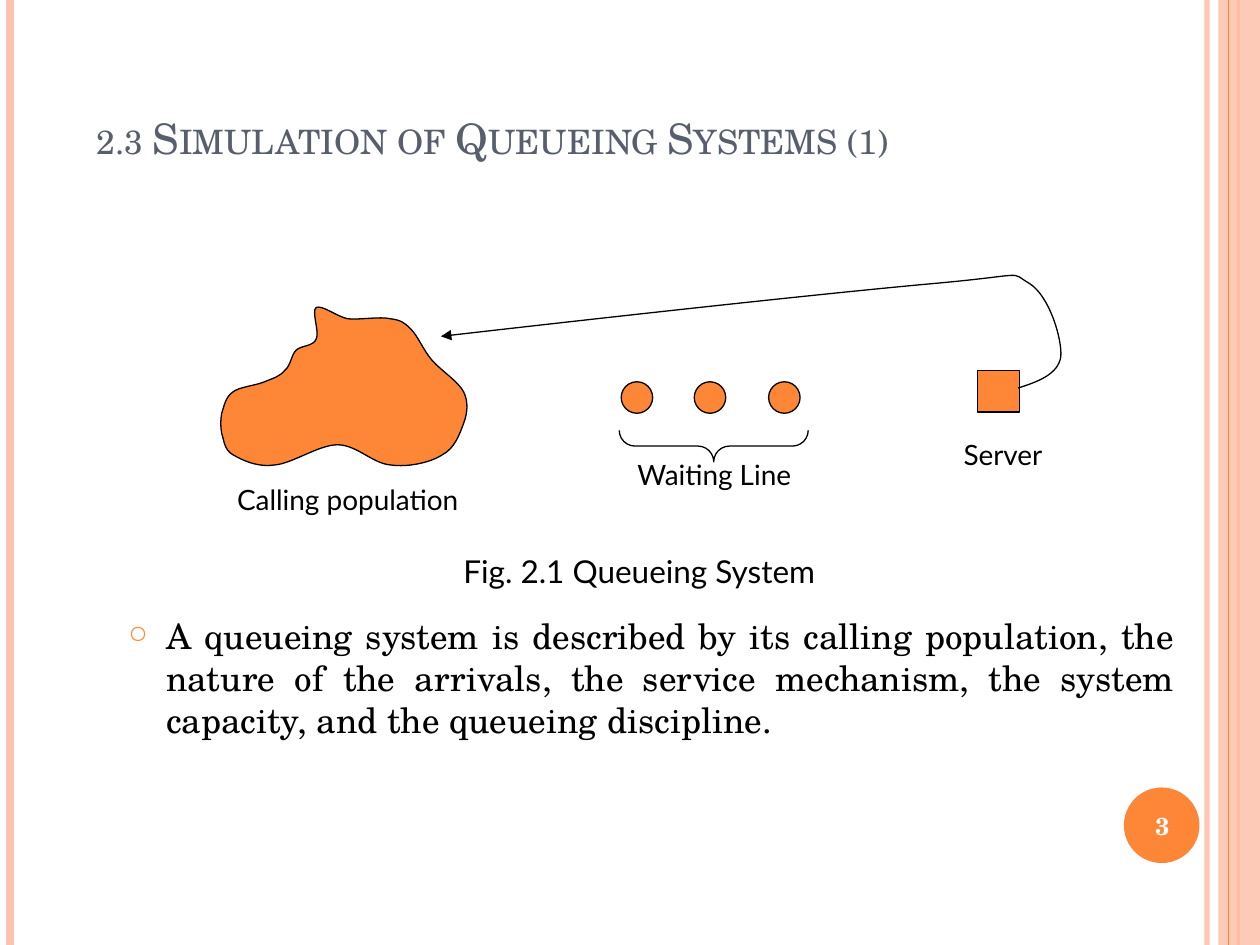
from dataclasses import dataclass
from typing import Optional

from lxml import etree
from pptx import Presentation, util as u
from pptx.dml.color import RGBColor
from pptx.enum import shapes, text
from pptx.oxml import ns

PX = 9144
ORANGE, PEACH, BLACK, WHITE = "FE8637", "FEC3AE", "000000", "FFFFFF"
SERIF, SANS = "TeX Gyre Schola", "Lato"
SHAPE, ALIGN, ANCHOR = shapes.MSO_SHAPE, text.PP_ALIGN, text.MSO_ANCHOR


@dataclass
class Box:
    left: int
    top: int
    width: int
    height: int

    def emu(self) -> list:
        return [n * PX for n in (self.left, self.top, self.width, self.height)]


@dataclass
class Stripe:
    x: int
    weight: float
    color: str
    opacity: int = 100


@dataclass
class Label:
    words: str
    box: Box
    size: int = 16
    align: ALIGN = ALIGN.CENTER


@dataclass
class Curve:
    start: tuple
    segments: list
    fill: Optional[str] = None
    closed: bool = False
    arrow: bool = False


def add_node(parent, tag: str, **attributes):
    node = etree.SubElement(parent, ns.qn(tag))
    for name, value in attributes.items():
        node.set(name, str(value))
    return node


def paint(target, color: str, opacity: int = 100) -> None:
    target.solid()
    target.fore_color.rgb = RGBColor.from_string(color)
    if opacity < 100:
        add_node(target._xPr.find(ns.qn("a:solidFill"))[0], "a:alpha", val=opacity * 1000)


def style(shape, fill: Optional[str], line: Optional[str] = BLACK, opacity: int = 100) -> None:
    shape.shadow.inherit = False
    if fill:
        paint(shape.fill, fill, opacity)
    else:
        shape.fill.background()
    if line:
        paint(shape.line.fill, line)
        shape.line.width = u.Pt(0.75)
    else:
        shape.line.fill.background()


def add_shape(slide, kind: SHAPE, box: Box, fill: Optional[str], **look):
    shape = slide.shapes.add_shape(kind, *box.emu())
    style(shape, fill, **look)
    return shape


def add_stripe(slide, stripe: Stripe) -> None:
    line = slide.shapes.add_connector(
        shapes.MSO_CONNECTOR.STRAIGHT, stripe.x * PX, 0, stripe.x * PX, 750 * PX)
    paint(line.line.fill, stripe.color, stripe.opacity)
    line.line.width = u.Pt(stripe.weight)
    add_node(line._element.spPr, "a:effectLst")


def add_text(slide, words: str, box: Box, *, size: int, font: str, color: str = BLACK,
             align: ALIGN = ALIGN.LEFT, anchor: ANCHOR = ANCHOR.TOP,
             bold: bool = False, small_caps: bool = False, bullet: str = ""):
    frame = slide.shapes.add_textbox(*box.emu()).text_frame
    frame.word_wrap = True
    frame.vertical_anchor = anchor
    paragraph = frame.paragraphs[0]
    paragraph.alignment = align
    run = paragraph.add_run()
    run.text = words
    run.font.size = u.Pt(size)
    run.font.name = font
    run.font.bold = bold
    run.font.color.rgb = RGBColor.from_string(color)
    if small_caps:
        run._r.get_or_add_rPr().set("cap", "small")
    if bullet:
        paragraph.space_before = u.Pt(6)
        properties = paragraph._p.get_or_add_pPr()
        properties.set("marL", str(30 * PX))
        properties.set("indent", str(-30 * PX))
        add_node(add_node(properties, "a:buClr"), "a:srgbClr", val=ORANGE)
        add_node(properties, "a:buSzPct", val=70000)
        add_node(properties, "a:buChar", char=bullet)


def add_curve(slide, curve: Curve) -> None:
    points = [curve.start] + [point for segment in curve.segments for point in segment]
    xs, ys = zip(*points)
    box = Box(min(xs), min(ys), max(xs) - min(xs), max(ys) - min(ys))
    builder = slide.shapes.build_freeform(*curve.start, scale=PX)
    builder.add_line_segments([segment[-1] for segment in curve.segments], close=curve.closed)
    shape = builder.convert_to_shape()
    shape.left, shape.top, shape.width, shape.height = box.emu()
    outline = shape._element.spPr.find(".//" + ns.qn("a:path"))
    for child in list(outline):
        outline.remove(child)
    outline.set("w", str(box.width))
    outline.set("h", str(box.height))
    steps = [("a:moveTo", [curve.start])] + [("a:cubicBezTo", s) for s in curve.segments]
    for tag, step_points in steps:
        step = add_node(outline, tag)
        for x, y in step_points:
            add_node(step, "a:pt", x=x - box.left, y=y - box.top)
    if curve.closed:
        add_node(outline, "a:close")
    style(shape, curve.fill)
    if curve.arrow:
        add_node(shape.line._get_or_add_ln(), "a:tailEnd", type="triangle")


POPULATION = Curve((251, 269), [
    [(249, 275), (239, 274), (235, 278)], [(231, 282), (231, 290), (226, 294)],
    [(222, 299), (217, 300), (210, 303)], [(203, 306), (190, 307), (185, 311)],
    [(179, 315), (178, 322), (176, 328)], [(175, 333), (175, 339), (176, 344)],
    [(178, 350), (178, 357), (185, 361)], [(192, 365), (204, 371), (218, 369)],
    [(232, 368), (253, 353), (268, 353)], [(283, 353), (296, 368), (310, 369)],
    [(324, 371), (342, 367), (351, 361)], [(361, 356), (365, 344), (368, 336)],
    [(371, 328), (372, 319), (368, 311)], [(364, 303), (350, 294), (343, 286)],
    [(336, 278), (332, 267), (326, 261)], [(321, 256), (318, 254), (310, 253)],
    [(301, 251), (286, 254), (276, 253)], [(267, 251), (256, 242), (251, 244)],
    [(247, 247), (254, 264), (251, 269)],
], fill=ORANGE, closed=True)

RETURN_FLOW = Curve((808, 308), [
    [(824, 303), (840, 297), (842, 283)], [(843, 269), (833, 235), (817, 225)],
    [(800, 215), (819, 218), (742, 225)], [(664, 232), (507, 249), (350, 267)],
], arrow=True)

LABELS = [
    Label("Calling population", Box(176, 378, 200, 37)),
    Label("Waiting Line", Box(467, 358, 200, 37)),
    Label("Server", Box(750, 342, 92, 37)),
    Label("Fig. 2.1 Queueing System", Box(358, 433, 317, 40), 18, ALIGN.LEFT),
]


def add_frame(slide) -> None:
    for stripe in (Stripe(958, 3, PEACH, 93), Stripe(8, 4.5, PEACH), Stripe(983, 1.5, ORANGE)):
        add_stripe(slide, stripe)
    add_shape(slide, SHAPE.RECTANGLE, Box(967, 0, 33, 750), PEACH, line=None, opacity=87)
    add_stripe(slide, Stripe(975, 0.75, ORANGE))
    add_shape(slide, SHAPE.OVAL, Box(892, 625, 60, 60), ORANGE, line=None)
    add_text(slide, "3", Box(889, 627, 67, 57), size=14, font=SERIF, color=WHITE,
             align=ALIGN.CENTER, anchor=ANCHOR.MIDDLE, bold=True)


def add_diagram(slide) -> None:
    add_curve(slide, POPULATION)
    for index in range(3):
        add_shape(slide, SHAPE.OVAL, Box(493 + index * 117 // 2, 303, 25, 25), ORANGE)
    add_shape(slide, SHAPE.RECTANGLE, Box(776, 294, 33, 33), ORANGE)
    brace = add_shape(slide, SHAPE.LEFT_BRACE, Box(554, 279, 25, 150), None)
    brace.rotation = 270
    brace.adjustments[0] = brace.adjustments[1] = 0.5
    add_curve(slide, RETURN_FLOW)
    for label in LABELS:
        add_text(slide, label.words, label.box, size=label.size, font=SANS, align=label.align)


def main() -> None:
    presentation = Presentation()
    presentation.slide_width, presentation.slide_height = 1000 * PX, 750 * PX
    slide = presentation.slides.add_slide(presentation.slide_layouts[6])
    add_frame(slide)
    add_text(slide, "2.3 Simulation of Queueing Systems (1)", Box(67, 67, 750, 67), size=24,
             font=SERIF, color="575F6D", anchor=ANCHOR.BOTTOM, small_caps=True)
    add_text(slide, "A queueing system is described by its calling population, the nature of "
             "the arrivals, the service mechanism, the system capacity, and the queueing "
             "discipline.", Box(92, 483, 850, 158), size=20, font=SERIF,
             align=ALIGN.JUSTIFY, bullet="○")
    add_diagram(slide)
    presentation.save("out.pptx")


if __name__ == "__main__":
    main()
